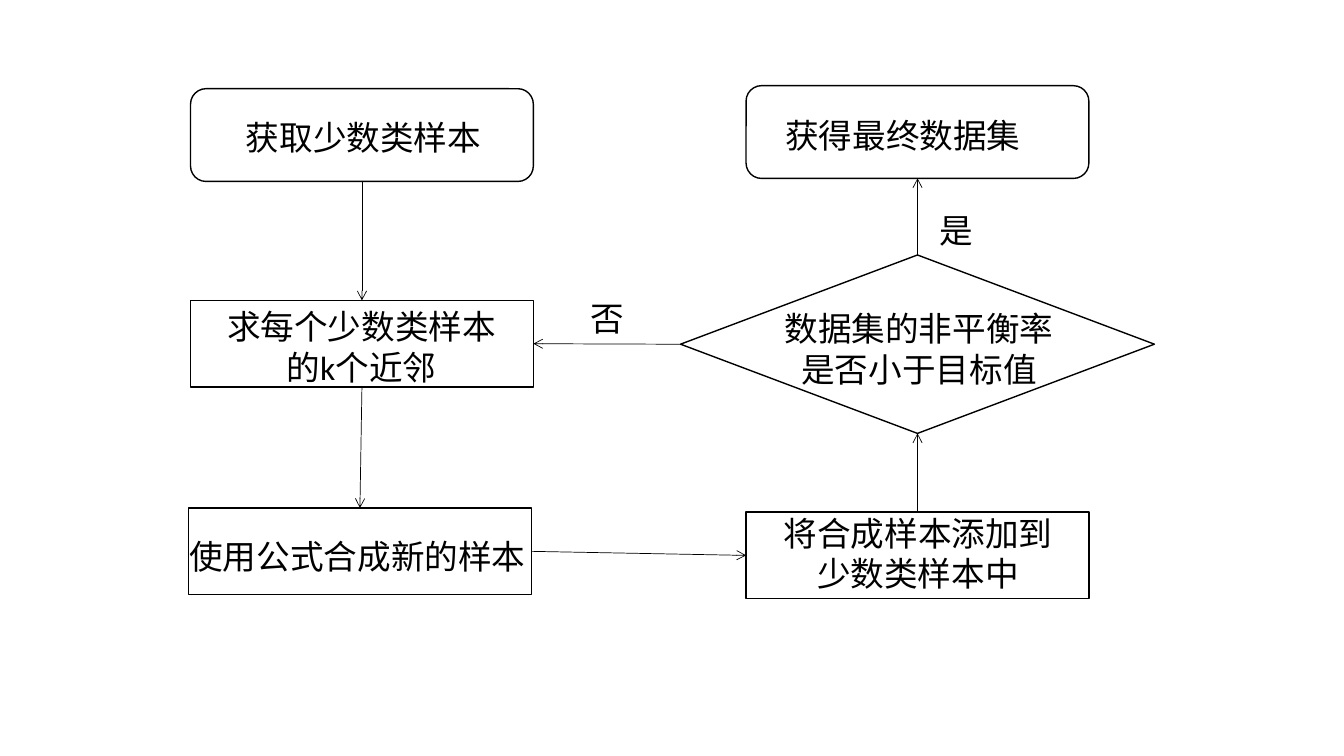
"""Build a flowchart slide on oversampling the minority class."""
import pptx
import pptx.dml.color
import pptx.enum.shapes
import pptx.enum.text
import pptx.oxml
import pptx.oxml.ns
import pptx.util

Inches = pptx.util.Inches
Pt = pptx.util.Pt
SHAPES = pptx.enum.shapes.MSO_SHAPE
ALIGN = pptx.enum.text.PP_ALIGN
TOP, LEFT, BOTTOM, RIGHT = range(4)


class Flowchart:
    """Hold the style and the current slide."""

    colours = {"ink": "000000", "page": "FFFFFF"}
    font = "Calibri"
    size = 24

    def __init__(self, page):
        """Start on a page with a plain background."""
        self.page = page
        page.background.fill.solid()
        page.background.fill.fore_color.rgb = self.colour("page")

    def colour(self, name):
        """Return a named colour."""
        return pptx.dml.color.RGBColor.from_string(self.colours[name])

    def stroke(self, line, width):
        """Set the colour and width of a line."""
        line.color.rgb = self.colour("ink")
        line.width = Pt(width)

    def node(self, kind, left, top, width, height):
        """Add an outlined, unfilled shape."""
        shape = self.page.shapes.add_shape(
            kind, Inches(left), Inches(top), Inches(width), Inches(height))
        shape.shadow.inherit = False
        shape.fill.background()
        self.stroke(shape.line, 1)
        return shape

    def arrow(self, source, source_side, target, target_side):
        """Join two shapes with a straight arrow."""
        link = self.page.shapes.add_connector(
            pptx.enum.shapes.MSO_CONNECTOR.STRAIGHT, 0, 0, 0, 0)
        link.begin_connect(source, source_side)
        link.end_connect(target, target_side)
        self.stroke(link.line, 0.5)
        head = pptx.oxml.parse_xml(
            f'<a:tailEnd {pptx.oxml.ns.nsdecls("a")} type="arrow"/>')
        link.line._get_or_add_ln().append(head)
        effects = pptx.oxml.parse_xml(
            f'<a:effectLst {pptx.oxml.ns.nsdecls("a")}/>')
        link._element.spPr.append(effects)

    def label(self, text, left, top, width):
        """Add unwrapped text, centred when it has several lines."""
        lines = text.count("\n") + 1
        box = self.page.shapes.add_textbox(
            Inches(left), Inches(top), Inches(width), Inches(0.1 + 0.4 * lines))
        frame = box.text_frame
        frame.word_wrap = False
        frame.auto_size = pptx.enum.text.MSO_AUTO_SIZE.SHAPE_TO_FIT_TEXT
        frame.text = text
        for para in frame.paragraphs:
            para.alignment = ALIGN.CENTER if lines > 1 else ALIGN.LEFT
            for span in para.runs:
                span.font.name = self.font
                span.font.size = Pt(self.size)
                span.font.color.rgb = self.colour("ink")


deck = pptx.Presentation()
deck.slide_width, deck.slide_height = Inches(13.33), Inches(7.5)
chart = Flowchart(deck.slides.add_slide(deck.slide_layouts[6]))

start = chart.node(SHAPES.ROUNDED_RECTANGLE, 1.89, 0.88, 3.4, 0.92)
neighbours = chart.node(SHAPES.RECTANGLE, 1.89, 2.98, 3.4, 0.86)
synthesis = chart.node(SHAPES.RECTANGLE, 1.87, 5.04, 3.4, 0.86)
addition = chart.node(SHAPES.RECTANGLE, 7.4, 5.08, 3.4, 0.86)
decision = chart.node(SHAPES.DIAMOND, 6.75, 2.53, 4.7, 1.77)
result = chart.node(SHAPES.ROUNDED_RECTANGLE, 7.4, 0.85, 3.4, 0.92)

for ends in (
    (start, BOTTOM, neighbours, TOP),
    (neighbours, BOTTOM, synthesis, TOP),
    (synthesis, RIGHT, addition, LEFT),
    (addition, TOP, decision, BOTTOM),
    (decision, LEFT, neighbours, RIGHT),
    (decision, TOP, result, BOTTOM),
):
    chart.arrow(*ends)

for words in (
    ("获取少数类样本", 2.34, 1.11, 2.53),
    ("求每个少数类样本\n的k个近邻", 2.15, 2.99, 2.87),
    ("使用公式合成新的样本", 1.78, 5.27, 3.53),
    ("将合成样本添加到\n少数类样本中", 7.67, 5.04, 2.87),
    ("数据集的非平衡率\n是否小于目标值", 7.68, 3.01, 2.87),
    ("获得最终数据集", 7.69, 1.09, 2.53),
    ("否", 5.76, 2.91, 0.53),
    ("是", 9.22, 2.03, 0.53),
):
    chart.label(*words)

deck.save("out.pptx")
